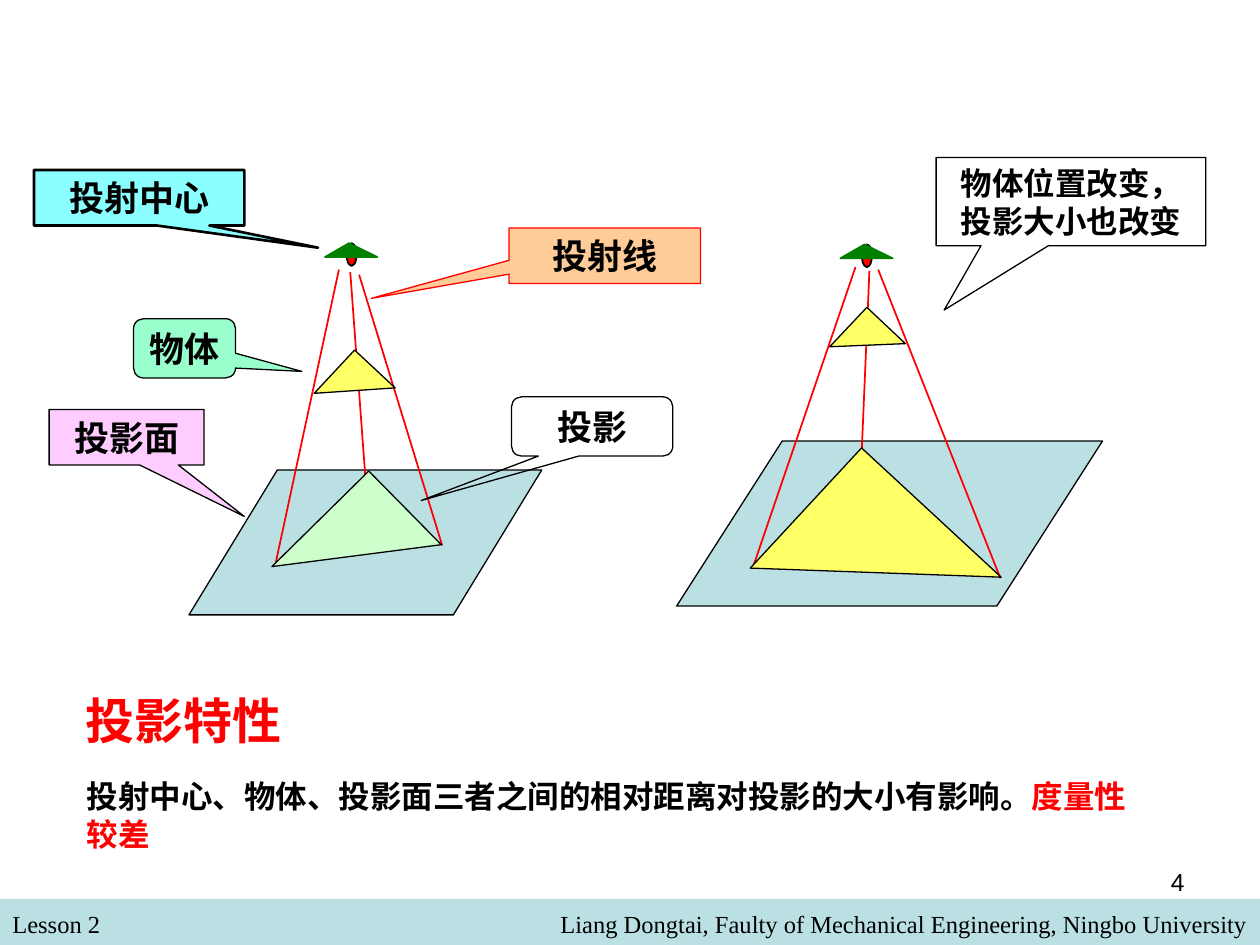
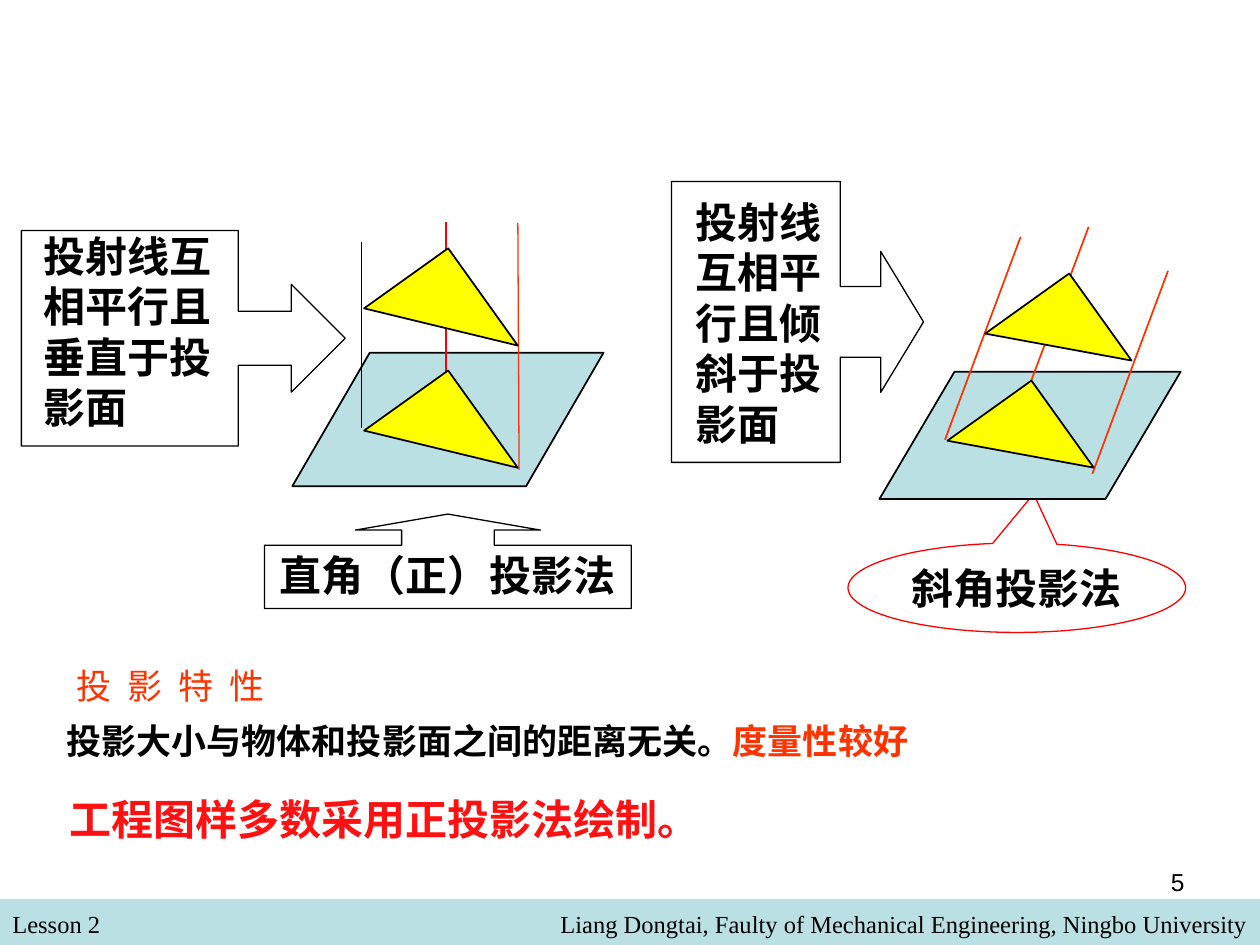
from dataclasses import dataclass
from typing import NamedTuple, Optional

import pptx
import pptx.dml.color
import pptx.enum.shapes
import pptx.enum.text
import pptx.oxml.ns
import pptx.util
from lxml import etree

SHAPE = pptx.enum.shapes.MSO_SHAPE
ALIGN = pptx.enum.text.PP_ALIGN
ANCHOR = pptx.enum.text.MSO_ANCHOR
FIT = pptx.enum.text.MSO_AUTO_SIZE

# Grid of 100 columns by 75 square rows
COLUMNS, ROWS = 100, 75
CELL = pptx.util.Inches(10) // COLUMNS
BAND_ROW = 71.35

COLORS = {
    "black": "000000", "red": "FF0000", "bright_red": "FF1111", "orange_red": "FF3300",
    "teal": "BBE0E3", "green": "008000", "pale_yellow": "FFFF66", "yellow": "FFFF00",
    "pale_green": "CCFFCC", "mint": "99FFCC", "peach": "FFCC99", "cyan": "8BFFFF",
    "pink": "FFCCFF",
}
SERIF, SANS, CHINESE = "Times New Roman", "Arial", "Noto Sans CJK SC"


class Place(NamedTuple):
    column: float
    row: float
    columns: float
    rows: float


class Look(NamedTuple):
    fill: Optional[str] = None
    line: Optional[str] = "black"
    weight: float = 0.75


class Span(NamedTuple):
    words: str
    size: float
    color: str = "black"
    bold: bool = True
    font: str = SERIF
    spacing: float = 0


class Ray(NamedTuple):
    start: tuple[float, float]
    end: tuple[float, float]
    color: str = "red"
    weight: float = 1


class Triangle(NamedTuple):
    place: Place
    turn: float
    fill: str


@dataclass
class Note:
    place: Place
    spans: list[Span]
    align: ALIGN = ALIGN.LEFT
    anchor: ANCHOR = ANCHOR.MIDDLE
    wrap: bool = True
    grow: bool = True


@dataclass
class Callout:
    kind: SHAPE
    tip: list[float]
    look: Look
    note: Note


@dataclass
class Projection:
    plane: Place
    slant: float
    rays: list[Ray]
    shadow: Triangle
    body: Triangle
    weight: float = 0.75
    lamp: Optional[tuple[float, float]] = None


def units(value: float) -> int:
    return round(value * CELL)


def rgb(name: str) -> pptx.dml.color.RGBColor:
    return pptx.dml.color.RGBColor.from_string(COLORS[name])


def add_shape(page, kind: SHAPE, place: Place, look: Look, adjustments=(), turn: float = 0):
    shape = page.shapes.add_shape(kind, *map(units, place))
    shape.shadow.inherit = False
    shape.rotation = turn
    for index, value in enumerate(adjustments):
        shape.adjustments[index] = value
    if look.fill:
        shape.fill.solid()
        shape.fill.fore_color.rgb = rgb(look.fill)
    else:
        shape.fill.background()
    if look.line:
        shape.line.color.rgb = rgb(look.line)
        shape.line.width = pptx.util.Pt(look.weight)
    else:
        shape.line.fill.background()
    return shape


def write(shape, note: Note) -> None:
    frame = shape.text_frame
    frame.word_wrap = note.wrap
    frame.auto_size = FIT.SHAPE_TO_FIT_TEXT if note.grow else FIT.NONE
    frame.vertical_anchor = note.anchor
    para = frame.paragraphs[0]
    para.alignment = note.align
    for span in note.spans:
        run = para.add_run()
        run.text = span.words
        run.font.size = pptx.util.Pt(span.size)
        run.font.bold = span.bold
        run.font.name = span.font
        run.font.color.rgb = rgb(span.color)
        properties = run.font._element
        east_asian = etree.SubElement(properties, pptx.oxml.ns.qn("a:ea"))
        east_asian.set("typeface", CHINESE)
        if span.spacing:
            properties.set("spc", str(round(span.spacing * 100)))


def add_note(page, note: Note) -> None:
    write(page.shapes.add_textbox(*map(units, note.place)), note)


def add_callout(page, callout: Callout) -> None:
    shape = add_shape(page, callout.kind, callout.note.place, callout.look, callout.tip)
    write(shape, callout.note)


def add_ray(page, ray: Ray) -> None:
    line = page.shapes.add_connector(
        pptx.enum.shapes.MSO_CONNECTOR.STRAIGHT, *map(units, ray.start + ray.end))
    line.line.color.rgb = rgb(ray.color)
    line.line.width = pptx.util.Pt(ray.weight)
    etree.SubElement(line._element.spPr, pptx.oxml.ns.qn("a:effectLst"))


def add_lamp(page, column: float, row: float) -> None:
    add_shape(page, SHAPE.OVAL, Place(column + 1.7, row, 0.8, 1.8), Look("red", weight=1))
    add_shape(page, SHAPE.ISOSCELES_TRIANGLE, Place(column, row, 4.15, 1.1),
              Look("green", "green", 1), [0.46])


def add_projection(page, scene: Projection) -> None:
    if scene.lamp:
        add_lamp(page, *scene.lamp)
    add_shape(page, SHAPE.PARALLELOGRAM, scene.plane, Look("teal", weight=scene.weight),
              [scene.slant])
    for ray in scene.rays:
        add_ray(page, ray)
    for triangle in (scene.shadow, scene.body):
        add_shape(page, SHAPE.RIGHT_TRIANGLE, triangle.place,
                  Look(triangle.fill, weight=scene.weight), turn=triangle.turn)


def add_page(deck, number: int):
    """Blank page with the footer band and page number."""
    page = deck.slides.add_slide(deck.slide_layouts[6])
    add_shape(page, SHAPE.RECTANGLE, Place(0, BAND_ROW, COLUMNS, ROWS - BAND_ROW),
              Look("teal", None))
    footers = [
        (Place(0, BAND_ROW + 0.3, 48.3, 3.3), ALIGN.LEFT, "Lesson 2", SERIF),
        (Place(18.3, BAND_ROW + 0.3, 81.7, 3.3), ALIGN.RIGHT,
         "Liang Dongtai, Faulty of Mechanical Engineering, Ningbo University", SERIF),
        (Place(71.7, 68.3, 23.3, 5.2), ALIGN.RIGHT, str(number), SANS),
    ]
    for place, align, words, font in footers:
        add_note(page, Note(place, [Span(words, 14, bold=False, font=font)], align,
                            ANCHOR.TOP, grow=False))
    return page


def label(kind: SHAPE, tip: list[float], look: Look, place: Place, words: str,
          size: float = 20, wrap: bool = True) -> Callout:
    return Callout(kind, tip, look, Note(place, [Span(words, size)], ALIGN.CENTER, wrap=wrap))


# Central projection
CENTRAL = [
    Projection(
        Place(53.7, 35, 33.8, 13.1), 0.64,
        [Ray((69, 21.5), (68.2, 40.4)), Ray((67.9, 21.2), (59.8, 44.9)),
         Ray((69.7, 21.4), (79.4, 45.9))],
        Triangle(Place(63, 37.9, 13, 15.1), 132.8, "pale_yellow"),
        Triangle(Place(66.7, 25.3, 4.3, 4.2), 133.3, "pale_yellow"),
        lamp=(66.7, 19.4)),
    Projection(
        Place(15, 37.3, 28, 11.5), 0.61,
        [Ray((26.9, 21.4), (21.9, 44.6)), Ray((28.5, 21.8), (35.1, 43.3)),
         Ray((27.8, 21.6), (29.4, 43.3))],
        Triangle(Place(22.9, 40, 10.8, 8.2), 135.4, "pale_green"),
        Triangle(Place(25.8, 28.8, 4.7, 4.4), 133, "pale_yellow"),
        lamp=(25.8, 19.3)),
]
BOXED, ROUNDED = SHAPE.RECTANGULAR_CALLOUT, SHAPE.ROUNDED_RECTANGULAR_CALLOUT
CENTRAL_LABELS = [
    label(BOXED, [-0.47, 1.23], Look(), Place(74.3, 12.5, 21.4, 7),
          "物体位置改变，投影大小也改变", 18),
    label(BOXED, [-1.22, 0.77], Look("peach", "red"), Place(40.4, 18.1, 15.2, 4.4), "投射线"),
    label(BOXED, [0.85, 0.9], Look("cyan", weight=1.5), Place(2.7, 13.5, 16.7, 4.4), "投射中心"),
    label(ROUNDED, [1.15, 0.39], Look("mint"), Place(10.6, 25.3, 8.1, 4.7), "物体", wrap=False),
    label(BOXED, [0.76, 1.43], Look("pink"), Place(3.9, 32.5, 12.3, 4.4), "投影面"),
    label(ROUNDED, [-1.06, 1.25], Look(), Place(40.6, 31.5, 12.8, 4.7), "投影"),
]
CENTRAL_NOTES = [
    Note(Place(5.9, 61.2, 84.9, 7),
         [Span("投射中心、物体、投影面三者之间的相对距离对投影的大小有影响。", 18),
          Span("度量性较差", 18, "red")]),
    Note(Place(5.8, 54.3, 18.9, 5.7), [Span("投影特性", 28, "red")]),
]

# Parallel projection: a body and its shadow share one size and turn
TURN = 144.4
DROP, SHIFT = 16.1, 6
PARALLEL = [
    Projection(
        Place(23.2, 28, 24.7, 10.6), 0.58,
        [Ray((35.4, 17.6), (35.4, 34.8)), Ray((41.1, 17.7), (41.2, 37.3), "orange_red", 0.75),
         Ray((28.7, 19.2), (28.7, 34), "black", 0.25)],
        Triangle(Place(30.9, 30.9, 8.2, 9.5), TURN, "yellow"),
        Triangle(Place(30.9, 21.2, 8.2, 9.5), TURN, "yellow"), 1),
    Projection(
        Place(69.8, 29.5, 23.9, 10.1), 0.59,
        [Ray((column, row), (column - SHIFT, row + DROP), "orange_red")
         for column, row in ((92.7, 21.5), (86.4, 18), (81, 18.8))],
        Triangle(Place(76.9, 31.8, 8.2, 8.5), TURN, "yellow"),
        Triangle(Place(79.9, 23.3, 8.2, 8.5), TURN, "yellow"), 1),
]
OBLIQUE_LABEL = label(SHAPE.OVAL_CALLOUT, [0.05, -1.05], Look(line="red"),
                      Place(67.3, 43.1, 26.8, 7.1), "斜角投影法", 24)
RIGHT_ARROW, UP_ARROW = SHAPE.RIGHT_ARROW_CALLOUT, SHAPE.UP_ARROW_CALLOUT
ARROWS = [
    (RIGHT_ARROW, Place(1.7, 18.3, 25.7, 17.1), [0.25, 0.25, 0.25, 0.67],
     Note(Place(2.5, 17.8, 18.3, 17), [Span("投射线互相平行且垂直于投影面", 24)])),
    (RIGHT_ARROW, Place(53.3, 14.4, 20, 22.3), [0.28, 0.28, 0.17, 0.67],
     Note(Place(54.2, 15.1, 13.6, 21), [Span("投射线互相平行且倾斜于投影面", 24)])),
    (UP_ARROW, Place(21, 40.8, 29.1, 7.5), [0.98, 0.98, 0.17, 0.67],
     Note(Place(21.2, 43.1, 30, 5), [Span("直角（正）投影法", 24)])),
]
PARALLEL_NOTES = [
    Note(Place(5.1, 52.2, 22, 4.4),
         [Span("投 影 特 性", 20, "orange_red", False, CHINESE, spacing=2.3)]),
    Note(Place(4.3, 56.6, 71.5, 4.4),
         [Span("投影大小与物体和投影面之间的距离无关。", 20),
          Span("度量性较好", 20, "orange_red")]),
    Note(Place(4.5, 62.5, 54, 5),
         [Span("工程图样多数采用正投影法绘制。", 24, "bright_red")]),
]


def build_central(deck) -> None:
    page = add_page(deck, 4)
    for scene in CENTRAL:
        add_projection(page, scene)
    for callout in CENTRAL_LABELS:
        add_callout(page, callout)
    for note in CENTRAL_NOTES:
        add_note(page, note)


def build_parallel(deck) -> None:
    page = add_page(deck, 5)
    add_callout(page, OBLIQUE_LABEL)
    for scene in PARALLEL:
        add_projection(page, scene)
    for kind, place, proportions, note in ARROWS:
        add_shape(page, kind, place, Look(), proportions)
        add_note(page, note)
    for note in PARALLEL_NOTES:
        add_note(page, note)


def main() -> None:
    deck = pptx.Presentation()
    deck.slide_width, deck.slide_height = units(COLUMNS), units(ROWS)
    build_central(deck)
    build_parallel(deck)
    deck.save("out.pptx")


if __name__ == "__main__":
    main()
